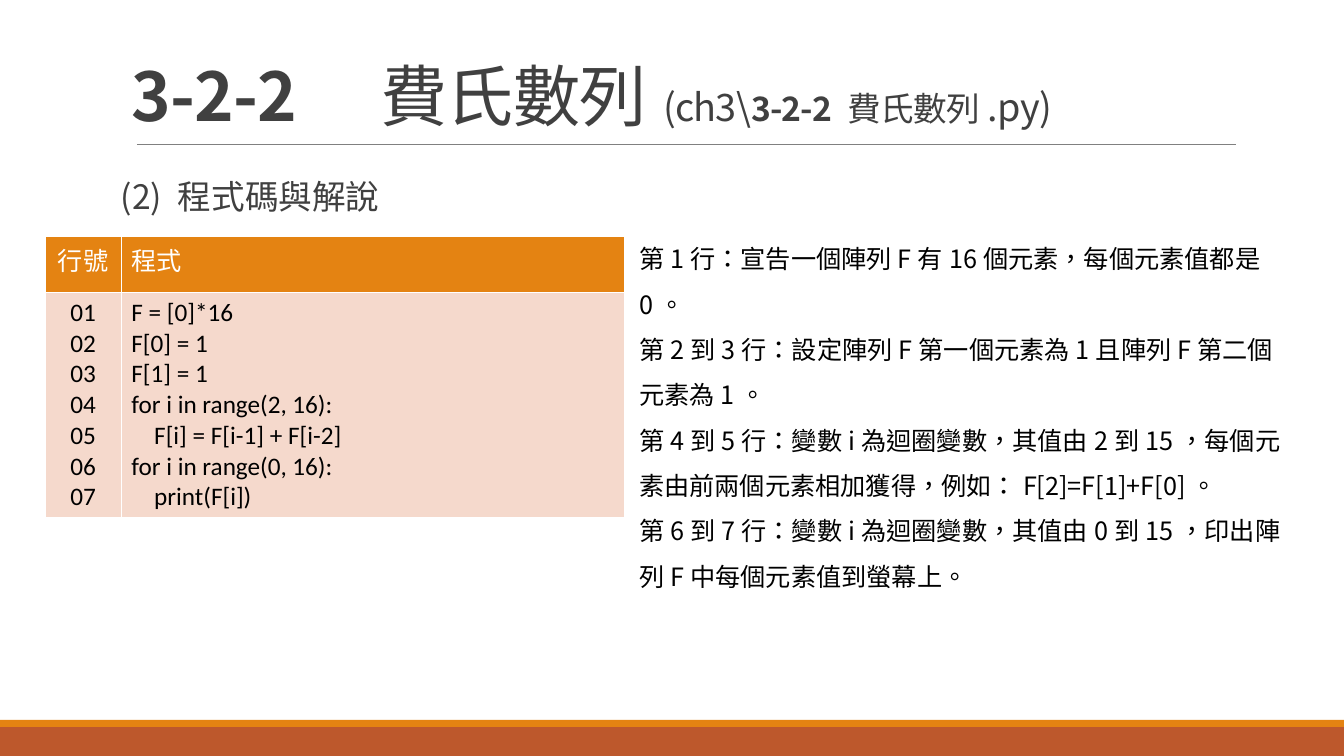
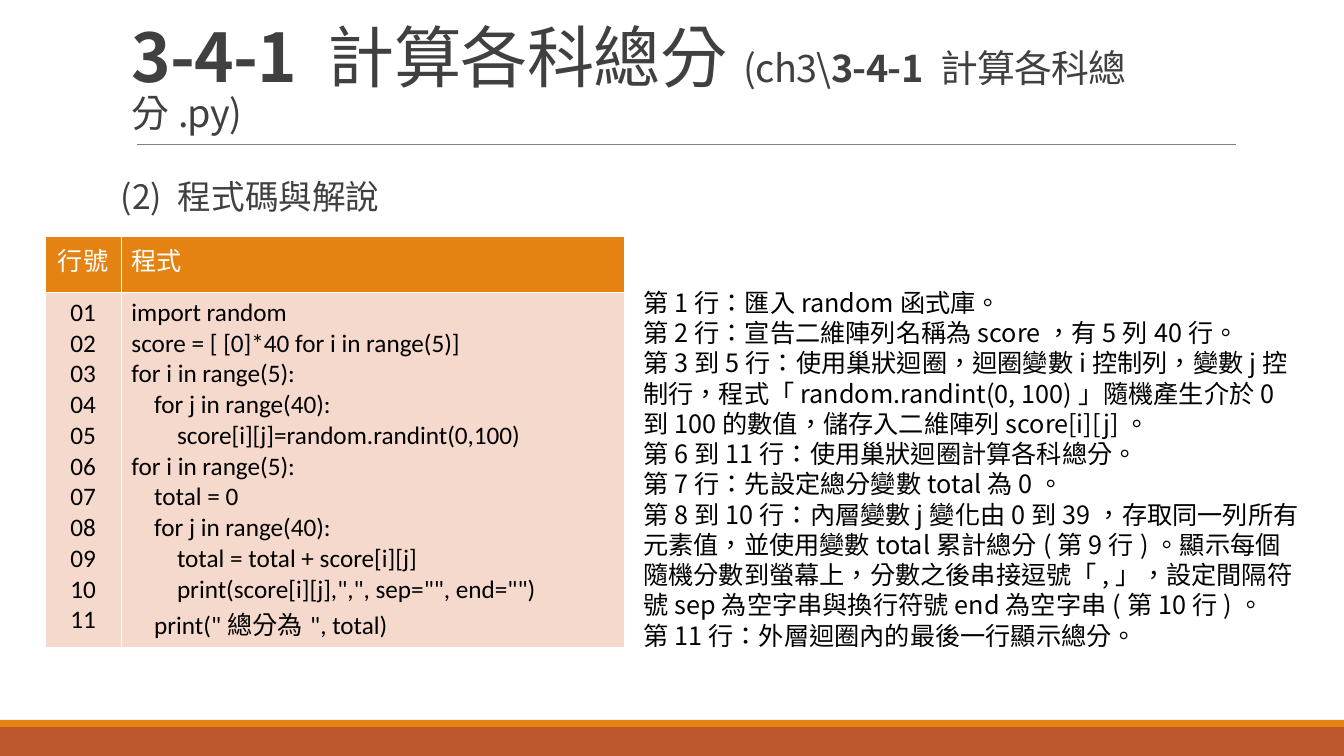
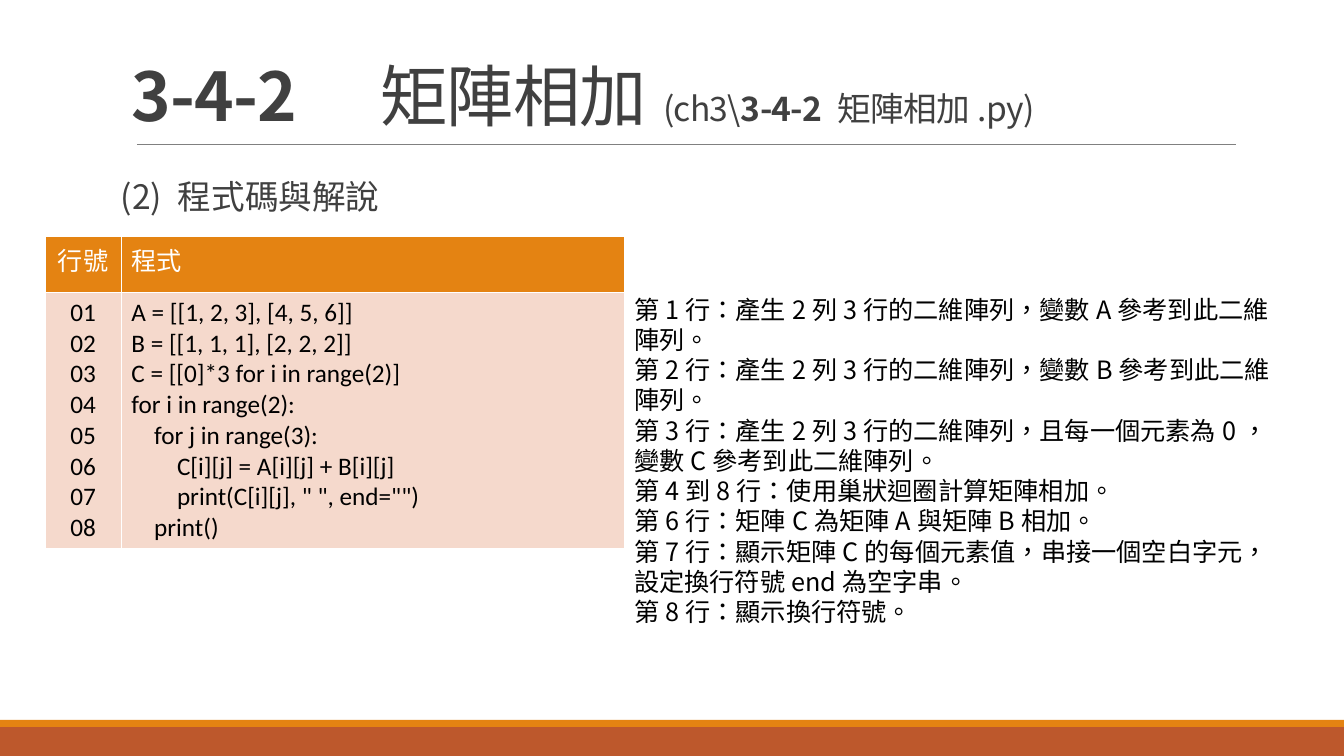
import pptx
import pptx.dml.color
import pptx.enum.shapes
import pptx.enum.text
import pptx.oxml
import pptx.oxml.ns
import pptx.util

presentation = pptx.Presentation()
presentation.slide_width = pptx.util.Inches(13.3333)
presentation.slide_height = pptx.util.Inches(7.5)

# Grid: 160 columns by 90 rows
COLUMN = presentation.slide_width / 160
ROW = presentation.slide_height / 90

# Shared look
ORANGE, RUST, PINK = "E48312", "BD582C", "F5D9CC"
WHITE, BLACK, DARK, GRAY = "FFFFFF", "000000", "404040", "808080"
SANS, CODE_FONT, LANGUAGE = "Noto Sans CJK SC", "Calibri", "zh-TW"
BANDS = [(86.5, 3.5, RUST), (85.7, 0.85, ORANGE)]
RULE_LEFT, RULE_RIGHT, RULE_TOP = 16.3, 147.1, 17.15
TITLE_BOX = (14.45, 3.72, 132, 12.96)
HEADING_BOX = (14.4, 18, 132, 64.7)
HEADING = "(2) 程式碼與解說"
TABLE_LEFT, TABLE_TOP = 5.35, 28.1
TABLE_COLUMNS = (9.1, 59.9)
HEADER_ROWS, LINE_ROWS, PADDING_ROWS = 6.7, 3.66, 1.2
CHINESE_LINE_EXTRA = 0.8
INDENT_PER_SPACE = pptx.util.Pt(4.07)
CENTER = pptx.enum.text.PP_ALIGN.CENTER
LEFT = pptx.enum.text.PP_ALIGN.LEFT

TOPICS = [
    {
        "title": [("3-2-2　", 48, True), ("費氏數列", 48, False), ("(ch3\\", 27, False),
                  ("3-2-2 ", 24, True), ("費氏數列", 24, False), (".py)", 27, False)],
        "code": """F = [0]*16
F[0] = 1
F[1] = 1
for i in range(2, 16):
    F[i] = F[i-1] + F[i-2]
for i in range(0, 16):
    print(F[i])""",
        "notes_box": (74.9, 26.6, 80.5, 39.4),
        "notes_spacing": 1.5,
        "notes": [
            "第1行：宣告一個陣列F有16個元素，每個元素值都是0。",
            "第2到3行：設定陣列F第一個元素為1且陣列F第二個元素為1。",
            "第4到5行：變數i為迴圈變數，其值由2到15，每個元素由前兩個元素相加獲得，例如：F[2]=F[1]+F[0]。",
            "第6到7行：變數i為迴圈變數，其值由0到15，印出陣列F中每個元素值到螢幕上。",
        ],
    },
    {
        "title": [("3-4-1 ", 48, True), ("計算各科總分", 48, False), ("(ch3\\", 27, False),
                  ("3-4-1 ", 27, True), ("計算各科總分.py)", 27, False)],
        "code": """import random
score = [ [0]*40 for i in range(5)]
for i in range(5):
    for j in range(40):
        score[i][j]=random.randint(0,100)
for i in range(5):
    total = 0
    for j in range(40):
        total = total + score[i][j]
        print(score[i][j],",", sep="", end="")
    print("總分為", total)""",
        "notes_box": (75.4, 33.6, 80.5, 44.9),
        "notes_spacing": 1,
        "notes": [
            "第1行：匯入random函式庫。",
            "第2行：宣告二維陣列名稱為score，有5列40行。",
            "第3到5行：使用巢狀迴圈，迴圈變數i控制列，變數j控制行，程式「random.randint(0, 100)」隨機產生介於0到100的數值，儲存入二維陣列score[i][j]。",
            "第6到11行：使用巢狀迴圈計算各科總分。",
            "第7行：先設定總分變數total為0。",
            "第8到10行：內層變數j變化由0到39，存取同一列所有元素值，並使用變數total累計總分(第9行)。顯示每個隨機分數到螢幕上，分數之後串接逗號「,」，設定間隔符號sep為空字串與換行符號end為空字串(第10行)。",
            "第11行：外層迴圈內的最後一行顯示總分。",
        ],
    },
    {
        "title": [("3-4-2　", 48, True), ("矩陣相加", 48, False), ("(ch3\\", 24, False),
                  ("3-4-2 ", 24, True), ("矩陣相加.py)", 24, False)],
        "code": """A = [[1, 2, 3], [4, 5, 6]]
B = [[1, 1, 1], [2, 2, 2]]
C = [[0]*3 for i in range(2)]
for i in range(2):
    for j in range(3):
        C[i][j] = A[i][j] + B[i][j]
        print(C[i][j], " ", end="")
    print()""",
        "notes_box": (74.3, 34.4, 80.5, 34),
        "notes_spacing": 1,
        "notes": [
            "第1行：產生2列3行的二維陣列，變數A參考到此二維陣列。",
            "第2行：產生2列3行的二維陣列，變數B參考到此二維陣列。",
            "第3行：產生2列3行的二維陣列，且每一個元素為0，變數C參考到此二維陣列。",
            "第4到8行：使用巢狀迴圈計算矩陣相加。",
            "第6行：矩陣C為矩陣A與矩陣B相加。",
            "第7行：顯示矩陣C的每個元素值，串接一個空白字元，設定換行符號end為空字串。",
            "第8行：顯示換行符號。",
        ],
    },
]


def hex_color(value):
    return pptx.dml.color.RGBColor.from_string(value)


def write_paragraphs(frame, lines, color, font_name=SANS, spacing=0, **paragraph_format):
    """Each line is a list of (text, size, bold) runs."""
    for index, runs in enumerate(lines):
        paragraph = frame.paragraphs[0] if index == 0 else frame.add_paragraph()
        for name, value in paragraph_format.items():
            setattr(paragraph, name, value)
        for text, size, bold in runs:
            run = paragraph.add_run()
            run.text = text.lstrip(" ")
            spaces = len(text) - len(run.text)
            if spaces:
                paragraph._p.get_or_add_pPr().set("marL", str(spaces * INDENT_PER_SPACE))
            font_format = {"size": pptx.util.Pt(size), "bold": bold, "name": font_name}
            for name, value in font_format.items():
                setattr(run.font, name, value)
            run.font.color.rgb = hex_color(color)
            properties = run.font._element
            properties.set("lang", LANGUAGE)
            if spacing:
                properties.set("spc", str(spacing))
            east_asian = pptx.oxml.parse_xml(
                f'<a:ea {pptx.oxml.ns.nsdecls("a")} typeface="{SANS}"/>')
            properties.append(east_asian)


for topic in TOPICS:
    slide = presentation.slides.add_slide(presentation.slide_layouts[6])

    # Bottom bands
    for top, height, color in BANDS:
        band = slide.shapes.add_shape(
            pptx.enum.shapes.MSO_SHAPE.RECTANGLE,
            0, int(top * ROW), presentation.slide_width, int(height * ROW))
        band.shadow.inherit = False
        band.fill.solid()
        band.fill.fore_color.rgb = hex_color(color)
        band.line.fill.background()

    # Rule under the title
    rule = slide.shapes.add_connector(
        pptx.enum.shapes.MSO_CONNECTOR.STRAIGHT,
        int(RULE_LEFT * COLUMN), int(RULE_TOP * ROW),
        int(RULE_RIGHT * COLUMN), int(RULE_TOP * ROW))
    rule.line.color.rgb = hex_color(GRAY)
    rule.line.width = pptx.util.Pt(0.5)
    rule._element.spPr.append(
        pptx.oxml.parse_xml(f'<a:effectLst {pptx.oxml.ns.nsdecls("a")}/>'))

    # Title, heading and explanation
    text_boxes = [
        (TITLE_BOX, {"vertical_anchor": pptx.enum.text.MSO_ANCHOR.BOTTOM},
         [topic["title"]], DARK, {"line_spacing": 0.85, "spacing": -50}),
        (HEADING_BOX, {"margin_left": 0, "margin_right": 0},
         [[(HEADING, 24, False)]], DARK,
         {"line_spacing": 1.5, "space_before": pptx.util.Pt(12),
          "space_after": pptx.util.Pt(2)}),
        (topic["notes_box"],
         {"auto_size": pptx.enum.text.MSO_AUTO_SIZE.SHAPE_TO_FIT_TEXT},
         [[(note, 18, False)] for note in topic["notes"]], BLACK,
         {"line_spacing": topic["notes_spacing"]}),
    ]
    for (left, top, width, height), frame_format, lines, color, text_format in text_boxes:
        frame = slide.shapes.add_textbox(
            int(left * COLUMN), int(top * ROW),
            int(width * COLUMN), int(height * ROW)).text_frame
        frame.word_wrap = True
        for name, value in frame_format.items():
            setattr(frame, name, value)
        write_paragraphs(frame, lines, color, **text_format)

    # Code table: lines with Chinese text stand taller
    code_lines = topic["code"].split("\n")
    numbers = [f"{number:02d}" for number in range(1, len(code_lines) + 1)]
    chinese_lines = sum(not line.isascii() for line in code_lines)
    code_rows = (len(code_lines) * LINE_ROWS + chinese_lines * CHINESE_LINE_EXTRA
                 + PADDING_ROWS)
    row_heights = (HEADER_ROWS, code_rows)
    table = slide.shapes.add_table(
        2, 2, int(TABLE_LEFT * COLUMN), int(TABLE_TOP * ROW),
        int(sum(TABLE_COLUMNS) * COLUMN), int(sum(row_heights) * ROW)).table
    table.horz_banding = False
    for table_column, width in zip(table.columns, TABLE_COLUMNS):
        table_column.width = int(width * COLUMN)
    for table_row, height in zip(table.rows, row_heights):
        table_row.height = int(height * ROW)

    table_rows = [([["行號"], ["程式"]], ORANGE, WHITE),
                  ([numbers, code_lines], PINK, BLACK)]
    for row_index, (contents, fill, color) in enumerate(table_rows):
        for column_index, lines in enumerate(contents):
            cell = table.cell(row_index, column_index)
            cell_properties = cell._tc.get_or_add_tcPr()
            for side in "LRTB":
                cell_properties.append(pptx.oxml.parse_xml(
                    f'<a:ln{side} {pptx.oxml.ns.nsdecls("a")} w="{pptx.util.Pt(1)}">'
                    f'<a:solidFill><a:srgbClr val="{WHITE}"/></a:solidFill></a:ln{side}>'))
            cell.fill.solid()
            cell.fill.fore_color.rgb = hex_color(fill)
            write_paragraphs(
                cell.text_frame, [[(line, 18, False)] for line in lines], color,
                font_name=CODE_FONT, alignment=LEFT if column_index else CENTER)

presentation.save("out.pptx")
